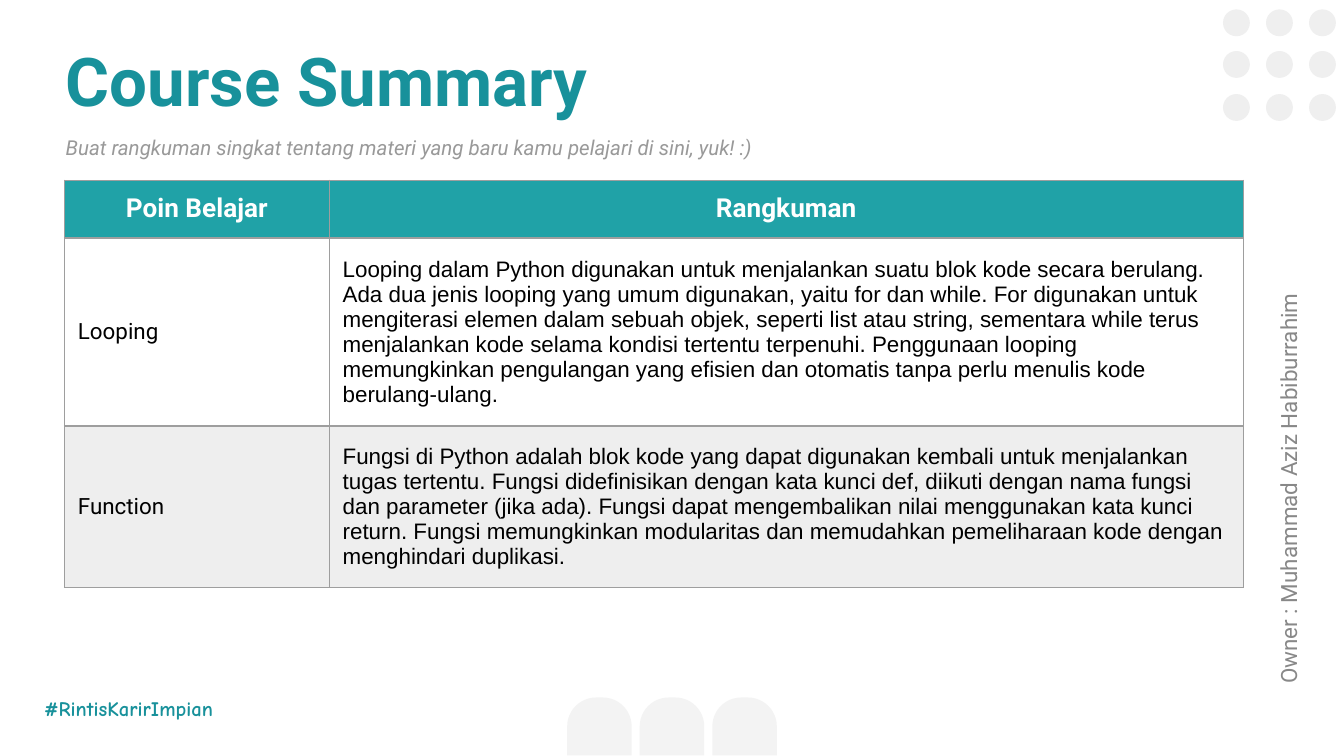
from pptx import Presentation
from pptx.dml.color import RGBColor
from pptx.enum.shapes import MSO_SHAPE
from pptx.enum.text import MSO_ANCHOR, MSO_AUTO_SIZE, PP_ALIGN
from pptx.oxml import parse_xml
from pptx.oxml.ns import nsdecls
from pptx.util import Inches, Pt

TEAL = RGBColor(0x18, 0x91, 0x9B)
HEADER = RGBColor(0x20, 0xA2, 0xA7)
BAND = RGBColor(0xEE, 0xEE, 0xEE)
DOT = RGBColor(0xEF, 0xEF, 0xEF)
ARCH = RGBColor(0xF3, 0xF3, 0xF3)
HINT = RGBColor(0x99, 0x99, 0x99)
OWNER = RGBColor(0x88, 0x88, 0x88)
BORDER = RGBColor(0x9E, 0x9E, 0x9E)
WHITE = RGBColor(0xFF, 0xFF, 0xFF)
BLACK = RGBColor(0, 0, 0)

# 16:9 slide
prs = Presentation()
prs.slide_width = Inches(10)
prs.slide_height = Inches(10) * 9 // 16
s = prs.slides.add_slide(prs.slide_layouts[5])


def add_decor(kind, x, y, w, h, color):
    sp = s.shapes.add_shape(kind, Inches(x), Inches(y), Inches(w), Inches(h))
    sp.shadow.inherit = False
    sp.fill.solid()
    sp.fill.fore_color.rgb = color
    sp.line.fill.background()
    return sp


def write(tf, text, font, size, color, bold=False, italic=False, align=PP_ALIGN.LEFT):
    tf.text = text
    p = tf.paragraphs[0]
    p.alignment = align
    p.font.name, p.font.size = font, Pt(size)
    p.font.bold, p.font.italic = bold, italic
    p.font.color.rgb = color
    return p


# Arches along the bottom edge
for i in range(3):
    sp = add_decor(MSO_SHAPE.ROUND_2_SAME_RECTANGLE, 4.22 + 0.54 * i, 5.19, 0.48, 0.43, ARCH)
    sp.adjustments[0] = 0.5

# Dot grid in the top right corner
for y in (0.07, 0.38, 0.7):
    for x in (9.1, 9.42, 9.74):
        add_decor(MSO_SHAPE.OVAL, x, y, 0.2, 0.2, DOT)

# Title, hint, hashtag and rotated owner line
title = s.shapes.title
hint, hashtag, owner = [s.shapes.add_textbox(0, 0, 0, 0) for _ in range(3)]
for sp, box in (
    (title, (0.39, 0.19, 8.62, 0.81)),
    (hint, (0.39, 0.88, 8.72, 0.39)),
    (hashtag, (0.23, 5.08, 1.57, 0.39)),
    (owner, (7.63, 3, 3.94, 0.43)),
):
    sp.left, sp.top, sp.width, sp.height = [Inches(v) for v in box]
    tf = sp.text_frame
    tf.word_wrap = True
    tf.auto_size = MSO_AUTO_SIZE.NONE
    tf.vertical_anchor = MSO_ANCHOR.TOP
    tf.margin_left = tf.margin_right = tf.margin_top = tf.margin_bottom = Inches(0.1)
owner.rotation = 270

write(title.text_frame, "Course Summary", "Roboto", 36, TEAL, bold=True)
p = write(hint.text_frame,
          "Buat rangkuman singkat tentang materi yang baru kamu pelajari di sini, yuk! :)",
          "Roboto", 11, HINT, italic=True)
p.line_spacing = 1.15
write(hashtag.text_frame, "#RintisKarirImpian", "Comic Neue", 11, TEAL, bold=True)
write(owner.text_frame, "Owner : Muhammad Aziz Habiburrahim", "Roboto", 12, OWNER)

# Summary table
rows = [
    ("Poin Belajar", "Rangkuman"),
    ("Looping",
     "Looping dalam Python digunakan untuk menjalankan suatu blok kode secara berulang. "
     "Ada dua jenis looping yang umum digunakan, yaitu for dan while. For digunakan untuk "
     "mengiterasi elemen dalam sebuah objek, seperti list atau string, sementara while terus "
     "menjalankan kode selama kondisi tertentu terpenuhi. Penggunaan looping memungkinkan "
     "pengulangan yang efisien dan otomatis tanpa perlu menulis kode berulang-ulang."),
    ("Function",
     "Fungsi di Python adalah blok kode yang dapat digunakan kembali untuk menjalankan tugas "
     "tertentu. Fungsi didefinisikan dengan kata kunci def, diikuti dengan nama fungsi dan "
     "parameter (jika ada). Fungsi dapat mengembalikan nilai menggunakan kata kunci return. "
     "Fungsi memungkinkan modularitas dan memudahkan pemeliharaan kode dengan menghindari "
     "duplikasi."),
]
fills = [HEADER, None, BAND]
table = s.shapes.add_table(3, 2, Inches(0.48), Inches(1.34), Inches(8.77), Inches(3.03)).table
for col, width in zip(table.columns, (1.97, 6.8)):
    col.width = Inches(width)
for row, height in zip(table.rows, (0.43, 1.4, 1.2)):
    row.height = Inches(height)

for i, texts in enumerate(rows):
    for j, text in enumerate(texts):
        cell = table.cell(i, j)
        cell.margin_left = cell.margin_right = Inches(0.1)
        cell.margin_top = cell.margin_bottom = Inches(0.1)
        if i == 0:
            cell.vertical_anchor = MSO_ANCHOR.TOP
            write(cell.text_frame, text, "Roboto", 14, WHITE, bold=True, align=PP_ALIGN.CENTER)
        else:
            cell.vertical_anchor = MSO_ANCHOR.MIDDLE
            write(cell.text_frame, text, ("Roboto", "Arial")[j], 12, BLACK)
        # Borders come before the fill in the cell properties
        tcPr = cell._tc.get_or_add_tcPr()
        for side in ("lnL", "lnR", "lnT", "lnB"):
            tcPr.append(parse_xml(
                f'<a:{side} {nsdecls("a")} w="{Pt(0.75)}"><a:solidFill>'
                f'<a:srgbClr val="{BORDER}"/></a:solidFill></a:{side}>'))
        if fills[i] is None:
            cell.fill.background()
        else:
            cell.fill.solid()
            cell.fill.fore_color.rgb = fills[i]

prs.save("out.pptx")
